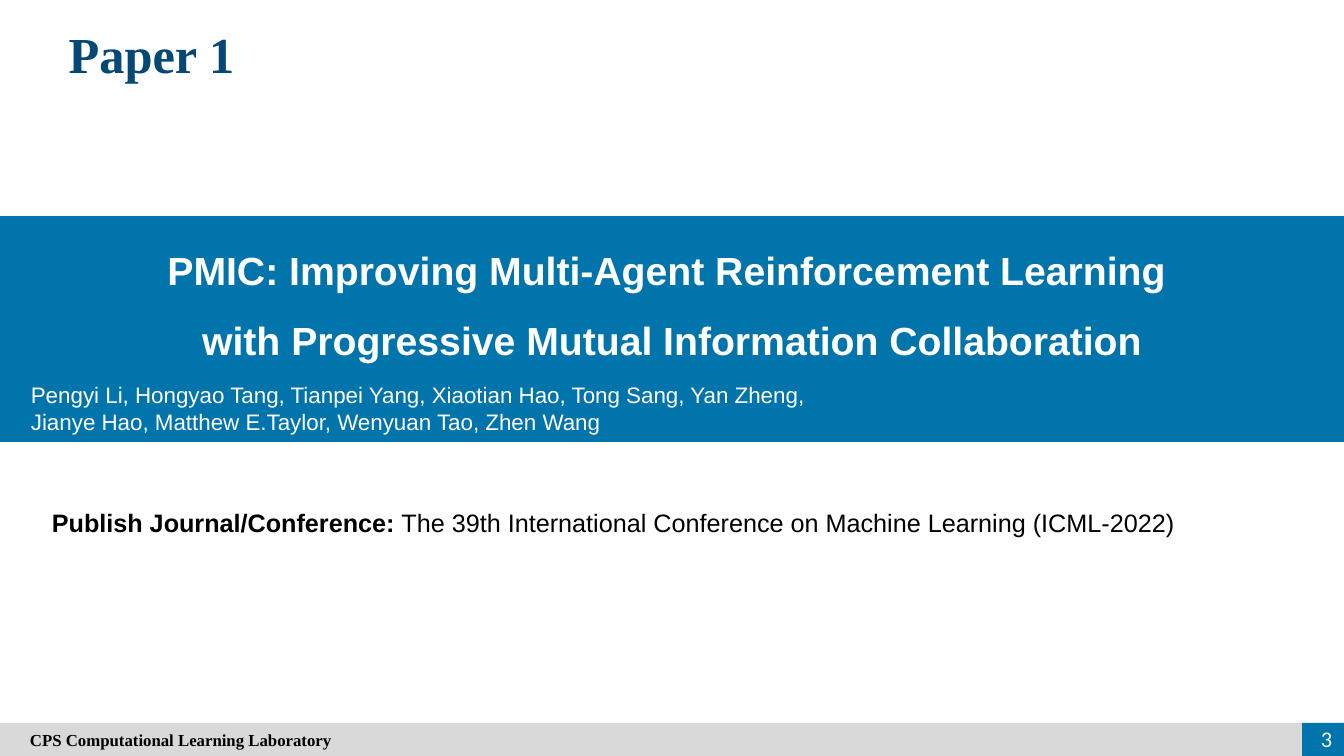
from pptx import Presentation
from pptx.dml.color import RGBColor
from pptx.enum import shapes, text
from pptx.util import Pt

PX = 914400 / 100.8  # EMU in one px
HUES = {"blue": "0174AB", "navy": "044875", "gray": "D9D9D9",
        "white": "FFFFFF", "black": "000000"}
SANS, SERIF = "Arial", "Times New Roman"
LEFT, MID, RIGHT = text.PP_ALIGN.LEFT, text.PP_ALIGN.CENTER, text.PP_ALIGN.RIGHT
TOP, CENTER = text.MSO_ANCHOR.TOP, text.MSO_ANCHOR.MIDDLE

deck = Presentation()
deck.slide_width, deck.slide_height = round(1344 * PX), round(756 * PX)
slide = deck.slides.add_slide(deck.slide_layouts[6])


def add_bar(box, hue):
    bar = slide.shapes.add_shape(shapes.MSO_SHAPE.RECTANGLE,
                                 *[round(n * PX) for n in box])
    bar.shadow.inherit = False
    bar.fill.solid()
    bar.fill.fore_color.rgb = RGBColor.from_string(HUES[hue])
    bar.line.fill.background()
    return bar


def write(shape, lines, size, face, hue, align=LEFT, anchor=TOP, gap=1.0):
    """Fill a shape with lines, each a list of (words, bold) runs."""
    frame = shape.text_frame
    frame.word_wrap = True
    frame.vertical_anchor = anchor
    for i, line in enumerate(lines):
        para = frame.paragraphs[0] if i == 0 else frame.add_paragraph()
        para.alignment = align
        para.line_spacing = gap
        for words, bold in line:
            run = para.add_run()
            run.text = words
            font = run.font
            font.size, font.name, font.bold = Pt(size), face, bold
            font.color.rgb = RGBColor.from_string(HUES[hue])


# Bars: title band, page number, footer
add_bar((-3, 216, 1350, 226), "blue")
add_bar((1302, 723, 42, 33), "blue")
footer = add_bar((0, 723, 1302, 33), "gray")
footer.text_frame.margin_left = round(30 * PX)
write(footer, [[("CPS Computational Learning Laboratory", True)]],
      12, SERIF, "black", anchor=CENTER)

# Text boxes: place, lines, size, face, colour, alignment, anchor, line spacing
title = [[("PMIC: Improving Multi-Agent Reinforcement Learning ", True)],
         [("with Progressive Mutual Information Collaboration", True)]]
names = [[("Pengyi Li, Hongyao Tang, Tianpei Yang, Xiaotian Hao, Tong Sang, Yan Zheng,", False)],
         [("Jianye Hao, Matthew E.Taylor, Wenyuan Tao, Zhen Wang", False)]]
venue = [[("Publish Journal/Conference:", True),
          (" The 39th International Conference on Machine Learning (ICML-2022)", False)]]
boxes = [
    ((-3, 221, 1350, 144), title, 28, SANS, "white", MID, CENTER, 1.5),
    ((21, 376, 1323, 65), names, 16, SANS, "white", LEFT, TOP, 1.0),
    ((42, 502, 1153, 40), venue, 18, SANS, "black", LEFT, TOP, 1.0),
    ((38, 18, 227, 72), [[("Paper 1", True)]], 36, SERIF, "navy", MID, TOP, 1.0),
    ((1279, 719, 63, 40), [[("3", False)]], 16, "Calibri", "white", RIGHT, CENTER, 1.0),
]
for place, *style in boxes:
    box = slide.shapes.add_textbox(*[round(n * PX) for n in place])
    write(box, *style)

deck.save("out.pptx")
